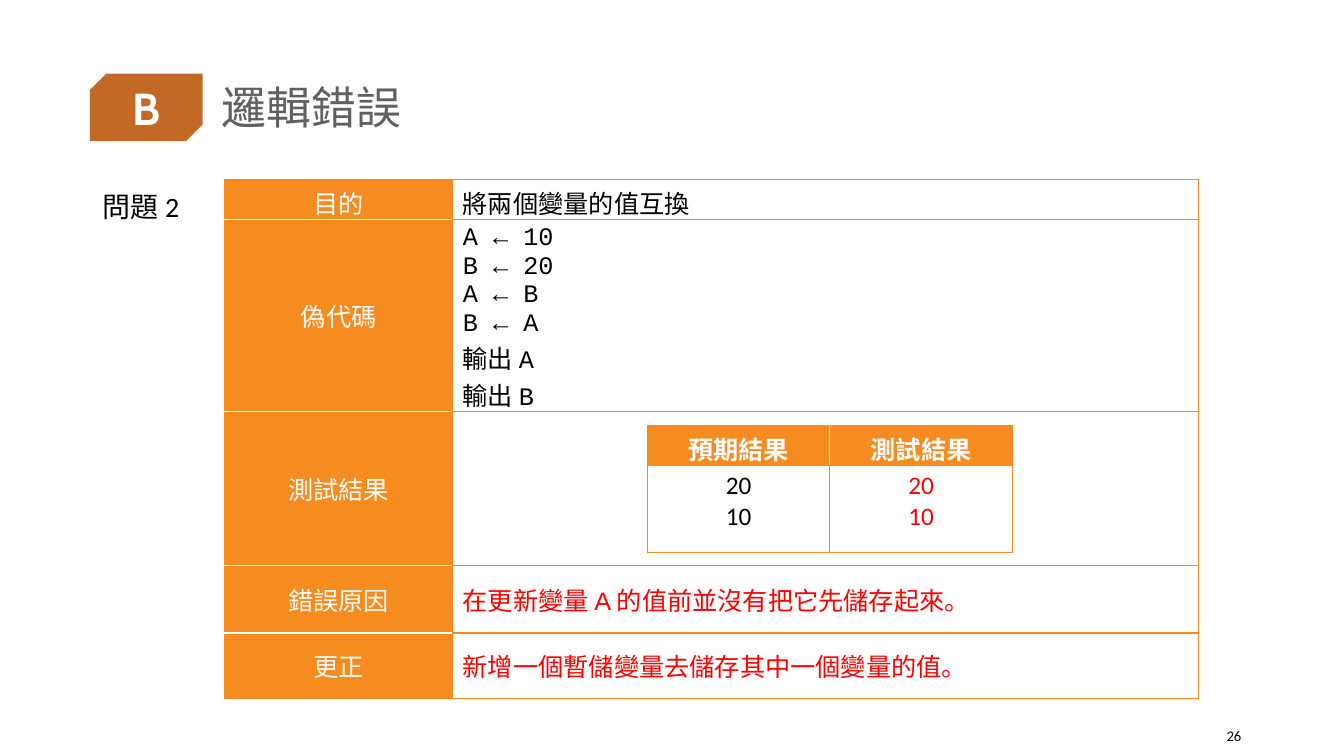
import pptx
import pptx.util
import pptx.dml.color
import pptx.enum.shapes
import pptx.enum.text
import pptx.oxml
import pptx.oxml.ns

Inches = pptx.util.Inches
Pt = pptx.util.Pt
RGBColor = pptx.dml.color.RGBColor
ALIGN = pptx.enum.text.PP_ALIGN
ANCHOR = pptx.enum.text.MSO_ANCHOR
qn = pptx.oxml.ns.qn

ORANGE = RGBColor(0xF6, 0x8B, 0x1F)
BROWN = RGBColor(0xC2, 0x6A, 0x25)
GREY = RGBColor(0x60, 0x60, 0x60)
WHITE = RGBColor(0xFF, 0xFF, 0xFF)
BLACK = RGBColor(0, 0, 0)
RED = RGBColor(0xFF, 0, 0)

HAN = "Noto Sans CJK TC"
CODE = "Courier New"
PLAIN = "Calibri"


def add_run(para, text, font, size, color, bold=False):
    run = para.add_run()
    run.text = text
    run.font.name = font
    run.font.size = Pt(size)
    run.font.bold = bold
    run.font.color.rgb = color
    east = run.font._element.makeelement(qn("a:ea"), {"typeface": HAN})
    run.font._element.find(qn("a:latin")).addnext(east)


def add_label(slide, box, text, font, size, color, align=ALIGN.LEFT,
              anchor=ANCHOR.MIDDLE, bold=False, space=1.0):
    frame = slide.shapes.add_textbox(*map(Inches, box)).text_frame
    frame.word_wrap = True
    frame.vertical_anchor = anchor
    para = frame.paragraphs[0]
    para.alignment = align
    para.line_spacing = space
    add_run(para, text, font, size, color, bold)


def add_badge(slide):
    badge = slide.shapes.add_shape(
        pptx.enum.shapes.MSO_SHAPE.SNIP_2_DIAG_RECTANGLE,
        Inches(0.89), Inches(0.73), Inches(1.12), Inches(0.67))
    badge.adjustments[0] = 0.245
    badge.adjustments[1] = 0
    badge.shadow.inherit = False
    badge.fill.solid()
    badge.fill.fore_color.rgb = BROWN
    badge.line.fill.background()


def add_grid(slide, left, top, cols, rows):
    frame = slide.shapes.add_table(
        len(rows), len(cols), Inches(left), Inches(top),
        Inches(sum(cols)), Inches(sum(rows)))
    grid = frame.table
    grid.first_row = False
    grid.horz_banding = False
    for col, width in zip(grid.columns, cols):
        col.width = Inches(width)
    for row, height in zip(grid.rows, rows):
        row.height = Inches(height)
    return grid


def set_edges(cell, pale):
    props = cell._tc.get_or_add_tcPr()
    for index, side in enumerate("LRTB"):
        color = WHITE if side in pale else ORANGE
        edge = pptx.oxml.parse_xml(
            f'<a:ln{side} xmlns:a="http://schemas.openxmlformats.org/drawingml/2006/main" '
            f'w="12700"><a:solidFill><a:srgbClr val="{color}"/></a:solidFill></a:ln{side}>')
        props.insert(index, edge)


def fill_cell(cell, lines, color, fill=None, pale="", align=ALIGN.LEFT,
              anchor=ANCHOR.MIDDLE, bold=False):
    if fill is None:
        cell.fill.background()
    else:
        cell.fill.solid()
        cell.fill.fore_color.rgb = fill
    set_edges(cell, pale)
    cell.vertical_anchor = anchor
    frame = cell.text_frame
    for index, line in enumerate(lines):
        para = frame.add_paragraph() if index else frame.paragraphs[0]
        para.alignment = align
        for text, font in line:
            add_run(para, text, font, 18, color, bold)


def add_main(slide):
    steps = ["A ← 10", "B ← 20", "A ← B", "B ← A"]
    code = [[(step, CODE)] for step in steps]
    code += [[("輸出", HAN), (name, CODE)] for name in (" A", " B")]
    cause = [("在更新變量 ", HAN), ("A ", "Arial"),
             ("的值前並沒有把它先儲存起來。", HAN)]
    rows = [
        ("目的", [[("將兩個變量的值互換", HAN)]], BLACK),
        ("偽代碼", code, BLACK),
        ("測試結果", [], BLACK),
        ("錯誤原因", [cause], RED),
        ("更正", [[("新增一個暫儲變量去儲存其中一個變量的值。", HAN)]], RED),
    ]
    grid = add_grid(slide, 2.23, 1.78, [2.26, 7.4], [0.4, 1.88, 1.53, 0.67, 0.65])
    last = len(rows) - 1
    for index, (head, lines, color) in enumerate(rows):
        pale = ("T" if index else "") + ("B" if index < last else "")
        fill_cell(grid.cell(index, 0), [[(head, HAN)]], WHITE, ORANGE, pale, ALIGN.CENTER)
        fill_cell(grid.cell(index, 1), lines, color)


def add_tests(slide):
    grid = add_grid(slide, 6.42, 4.22, [1.81, 1.81], [0.19, 0.86])
    cols = [("預期結果", BLACK, "R"), ("測試結果", RED, "L")]
    for index, (head, color, pale) in enumerate(cols):
        fill_cell(grid.cell(0, index), [[(head, HAN)]], WHITE, ORANGE, pale,
                  ALIGN.CENTER, ANCHOR.TOP, True)
        fill_cell(grid.cell(1, index), [[("20", PLAIN)], [("10", PLAIN)]], color,
                  align=ALIGN.CENTER, anchor=ANCHOR.TOP)


def main():
    deck = pptx.Presentation()
    deck.slide_width = Inches(13.33)
    deck.slide_height = Inches(7.5)
    slide = deck.slides.add_slide(deck.slide_layouts[6])
    add_badge(slide)
    add_label(slide, (2.1, 0.4, 10.32, 1.38), "邏輯錯誤", HAN, 32, GREY, space=0.9)
    add_label(slide, (11.57, 7.1, 0.84, 0.4), "26", PLAIN, 10.5, BLACK, ALIGN.RIGHT)
    add_label(slide, (0.92, 0.75, 1.06, 0.64), "B", "Cabin", 32, WHITE,
              ALIGN.CENTER, bold=True)
    add_label(slide, (0.92, 1.76, 11.5, 5.12), "問題 2", PLAIN, 20, BLACK,
              anchor=ANCHOR.TOP, space=1.2)
    add_main(slide)
    add_tests(slide)
    deck.save("out.pptx")


if __name__ == "__main__":
    main()
